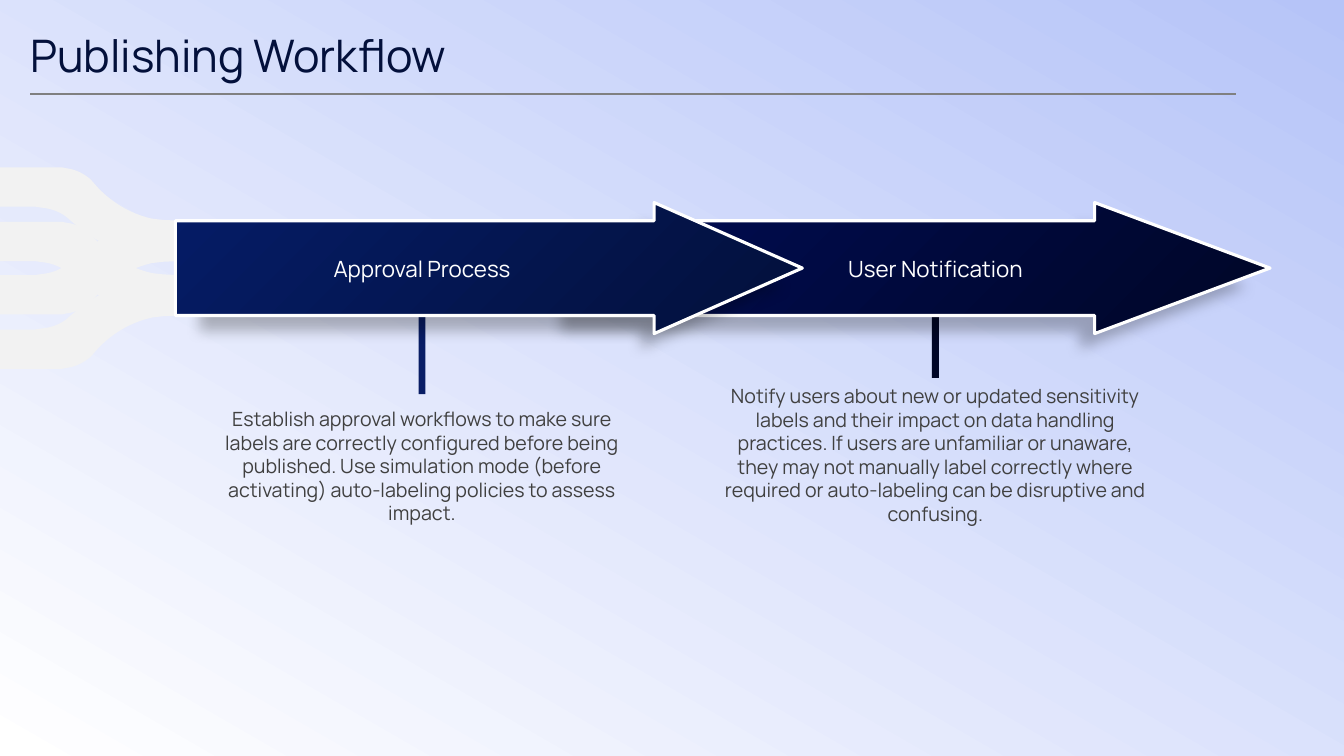
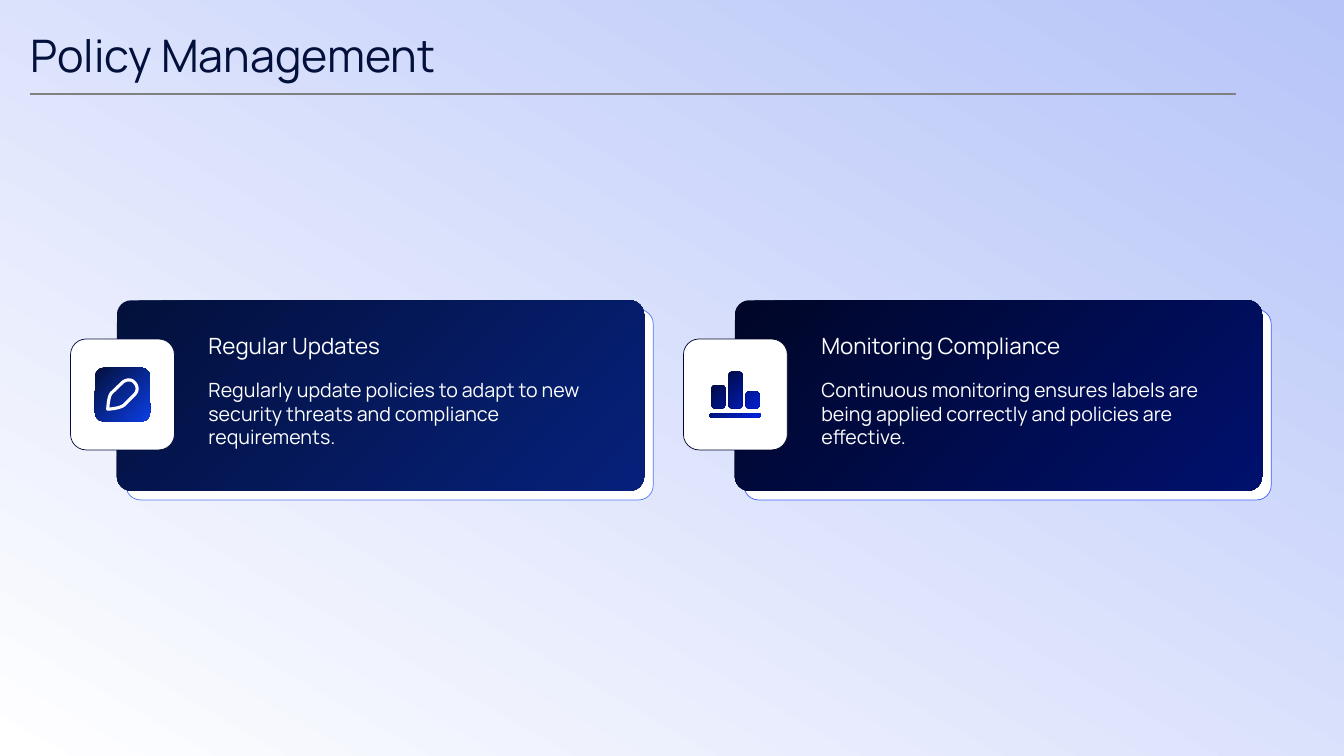
import pptx
import pptx.util
import pptx.dml.color
import pptx.enum.shapes
import pptx.enum.text
import pptx.oxml.ns
import lxml.etree

Pt = pptx.util.Pt
RGB = pptx.dml.color.RGBColor.from_string
SHAPE = pptx.enum.shapes.MSO_SHAPE
ANCHOR = pptx.enum.text.MSO_ANCHOR
ALIGN = pptx.enum.text.PP_ALIGN
qn = pptx.oxml.ns.qn
FONT = "Manrope"
C = {
    "sky": "B6C4F8",
    "white": "FFFFFF",
    "navy": "03103B",
    "ink": "000627",
    "arrow_navy": "051C66",
    "arrow_ink": "000D56",
    "stem": "091D65",
    "card_navy": "06217B",
    "card_ink": "00116E",
    "icon_navy": "0C3EE6",
    "icon_ink": "0023E3",
    "edge_navy": "547AF6",
    "edge_ink": "4360FF",
    "rib": "F2F2F2",
    "rule": "808080",
    "body": "404040",
}


def paint(sp, fill=None, line=None, width=0.5, angle=0):
    sp.shadow.inherit = False
    if fill is None:
        sp.fill.background()
    elif isinstance(fill, tuple):
        sp.fill.gradient()
        sp.fill.gradient_angle = angle
        for stop, name in zip(sp.fill.gradient_stops, fill):
            stop.color.rgb = RGB(C[name])
    else:
        sp.fill.solid()
        sp.fill.fore_color.rgb = RGB(C[fill])
    if line is None:
        sp.line.fill.background()
    else:
        sp.line.color.rgb = RGB(C[line])
        sp.line.width = Pt(width)


def draw(s, contours, left=0, top=0, flip=1):
    builder = None
    for contour in contours:
        pts = []
        for step in contour:
            if len(step) == 2:
                pts.append(step)
                continue
            x0, y0 = pts[-1]
            x1, y1, x2, y2, x3, y3 = step
            for i in range(1, 13):
                t = i / 12
                u = 1 - t
                a, b, c, d = u**3, 3 * u * u * t, 3 * u * t * t, t**3
                pts.append((a * x0 + b * x1 + c * x2 + d * x3, a * y0 + b * y1 + c * y2 + d * y3))
        pts = [(Pt(left + x), Pt(top + flip * y)) for x, y in pts]
        if builder is None:
            builder = s.shapes.build_freeform(*pts[0])
        else:
            builder.move_to(*pts[0])
        builder.add_line_segments(pts[1:], close=True)
    return builder.convert_to_shape()


prs = pptx.Presentation()
prs.slide_width = Pt(960)
prs.slide_height = Pt(540)

bg = prs.slide_master.background.fill
bg.gradient()
bg.gradient_angle = 240
for stop, name in zip(bg.gradient_stops, ("sky", "white")):
    stop.color.rgb = RGB(C[name])

slides = []
for heading in ("Publishing Workflow", "Policy Management"):
    s = prs.slides.add_slide(prs.slide_layouts[5])
    slides.append(s)
    title = s.shapes.title
    title.left, title.top, title.width, title.height = Pt(21.6), Pt(22.3), Pt(871), Pt(34)
    tf = title.text_frame
    tf.text = heading
    tf.auto_size = pptx.enum.text.MSO_AUTO_SIZE.NONE
    tf.vertical_anchor = ANCHOR.MIDDLE
    tf.margin_left = tf.margin_right = tf.margin_top = tf.margin_bottom = 0
    p = tf.paragraphs[0]
    p.alignment = ALIGN.LEFT
    p.font.name = FONT
    p.font.size = Pt(32)
    p.font.color.rgb = RGB(C["navy"])
    rule = s.shapes.add_connector(
        pptx.enum.shapes.MSO_CONNECTOR.STRAIGHT, Pt(21.6), Pt(67.4), Pt(883), Pt(67.4)
    )
    rule.line.color.rgb = RGB(C["rule"])
    rule.line.width = Pt(1.25)
    lxml.etree.SubElement(rule._element.spPr, qn("a:effectLst"))

workflow, policy = slides
texts = []

rib = [
    (0, 0), (44, 0), (47.5, 0.7),
    (54, 1.5, 59.8, 4.4, 64.8, 8.7), (67.7, 12),
    (77.8, 23.8, 92.2, 33.1, 108.7, 36.7), (116.6, 37.6), (125.3, 38),
    (125.3, 66.2), (115.2, 65.9), (100, 64.1), (86.4, 59.8),
    (74.2, 55.4, 63.4, 49, 54, 41), (49.7, 37.4),
    (44.6, 32.4, 37.4, 29.5, 29.5, 28.8), (25.2, 28.1), (0, 28.1),
]
for top, flip in ((263.5, -1), (119.5, 1), (224.6, -1), (158.4, 1)):
    paint(draw(workflow, [rib], 0, top, flip), "rib")

arrows = [
    (380.2, 781.9, 907.2, ("ink", "arrow_ink"), "ink", 668.2, 270, 274.3, "User Notification",
     "Notify users about new or updated sensitivity labels and their impact on data handling "
     "practices. If users are unfamiliar or unaware, they may not manually label correctly where "
     "required or auto-labeling can be disruptive and confusing."),
    (125.3, 467.3, 573.1, ("navy", "arrow_navy"), "stem", 301.5, 281.5, 290.9, "Approval Process",
     "Establish approval workflows to make sure labels are correctly configured before being "
     "published. Use simulation mode (before activating) auto-labeling policies to assess impact."),
]
for left, neck, tip, fill, stem_fill, center, stem_end, body_top, label, body in arrows:
    stem = workflow.shapes.add_shape(
        SHAPE.RECTANGLE, Pt(center - 2.5), Pt(214), Pt(5), Pt(stem_end - 214)
    )
    paint(stem, stem_fill)
    arrow = draw(workflow, [[
        (neck, 144.7), (tip, 191.5), (neck, 238.3), (neck, 225.4),
        (left, 225.4), (left, 157.7), (neck, 157.7),
    ]])
    paint(arrow, fill, "white", 2.25, angle=135)
    shadow = lxml.etree.SubElement(
        arrow._element.spPr.find(qn("a:effectLst")), qn("a:outerShdw"),
        blurRad=str(Pt(10)), dist=str(Pt(12)), dir="5400000",
        sx="92000", sy="92000", algn="ctr", rotWithShape="0",
    )
    black = lxml.etree.SubElement(shadow, qn("a:srgbClr"), val="000000")
    lxml.etree.SubElement(black, qn("a:alpha"), val="25000")
    texts += [
        (workflow, center - 144, 175.7, 288, 31.7, label, 16, "white", ANCHOR.MIDDLE, ALIGN.CENTER, True),
        (workflow, center - 153.4, body_top, 306.7, 179.3, body, 14, "body", ANCHOR.TOP, ALIGN.CENTER, False),
    ]

cards = [
    (83.5, 50.4, 306, "navy", "card_navy", "edge_navy", "Regular Updates",
     "Regularly update policies to adapt to new security threats and compliance requirements."),
    (524.9, 488.2, 311.8, "ink", "card_ink", "edge_ink", "Monitoring Compliance",
     "Continuous monitoring ensures labels are being applied correctly and policies are effective."),
]
for left, tile_left, text_w, dark, light, edge, label, body in cards:
    for x, y, w, h, adj, fill, line in (
        (left + 6.5, 221, 376.6, 136.1, 0.076, "white", edge),
        (left, 214.5, 376.6, 136.1, 0.076, (dark, light), None),
        (tile_left, 242.2, 74.2, 79.2, 0.15, "white", dark),
    ):
        sp = policy.shapes.add_shape(SHAPE.ROUNDED_RECTANGLE, Pt(x), Pt(y), Pt(w), Pt(h))
        sp.adjustments[0] = adj
        paint(sp, fill, line, angle=315)
    for y, h, text, size, anchor in (
        (229, 35.3, label, 16, ANCHOR.MIDDLE),
        (266.4, 79.2, body, 14, ANCHOR.TOP),
    ):
        texts.append((policy, tile_left + 91.4, y, text_w, h, text, size, "white", anchor, ALIGN.LEFT, True))

badge = policy.shapes.add_shape(SHAPE.ROUNDED_RECTANGLE, Pt(67.9), Pt(262.6), Pt(39.3), Pt(38.5))
badge.adjustments[0] = 0.16
paint(badge, ("navy", "icon_navy"), angle=315)
pencil = [
    (92.2, 271.4), (93.6, 271.4, 95, 272, 96.1, 273.2),
    (98.6, 276.1, 98.6, 279.4, 96.1, 281.9), (88.6, 289.4),
    (86, 291.5, 80, 292.1, 77, 292.3),
    (77.3, 288, 77.8, 282.9, 79.6, 280.8), (87.5, 273.2),
    (88.8, 272, 90.5, 271.4, 92.2, 271.4),
]
paint(draw(policy, [pencil]), None, "white", 2.25)

bars = []
for x, y, w, h, r in (
    (506.9, 295.2, 36.5, 3, 1.5),
    (532.8, 279.8, 9.6, 11.8, 2.2),
    (508.4, 275.2, 9.6, 16.4, 2.2),
    (520.6, 265.6, 9.6, 26, 2.2),
):
    k = r * 0.45
    x2, y2 = x + w, y + h
    bars.append([
        (x + r, y), (x2 - r, y), (x2 - k, y, x2, y + k, x2, y + r),
        (x2, y2 - r), (x2, y2 - k, x2 - k, y2, x2 - r, y2),
        (x + r, y2), (x + k, y2, x, y2 - k, x, y2 - r),
        (x, y + r), (x, y + k, x + k, y, x + r, y),
    ])
paint(draw(policy, bars), ("ink", "icon_ink"), angle=315)

for s, x, y, w, h, text, size, color, anchor, align, inset in texts:
    tf = s.shapes.add_textbox(Pt(x), Pt(y), Pt(w), Pt(h)).text_frame
    tf.word_wrap = True
    tf.vertical_anchor = anchor
    if not inset:
        tf.margin_left = tf.margin_right = tf.margin_top = tf.margin_bottom = 0
    tf.text = text
    p = tf.paragraphs[0]
    p.alignment = align
    p.line_spacing = Pt(size * 1.2)
    p.font.name = FONT
    p.font.size = Pt(size)
    p.font.color.rgb = RGB(C[color])

prs.save("out.pptx")
